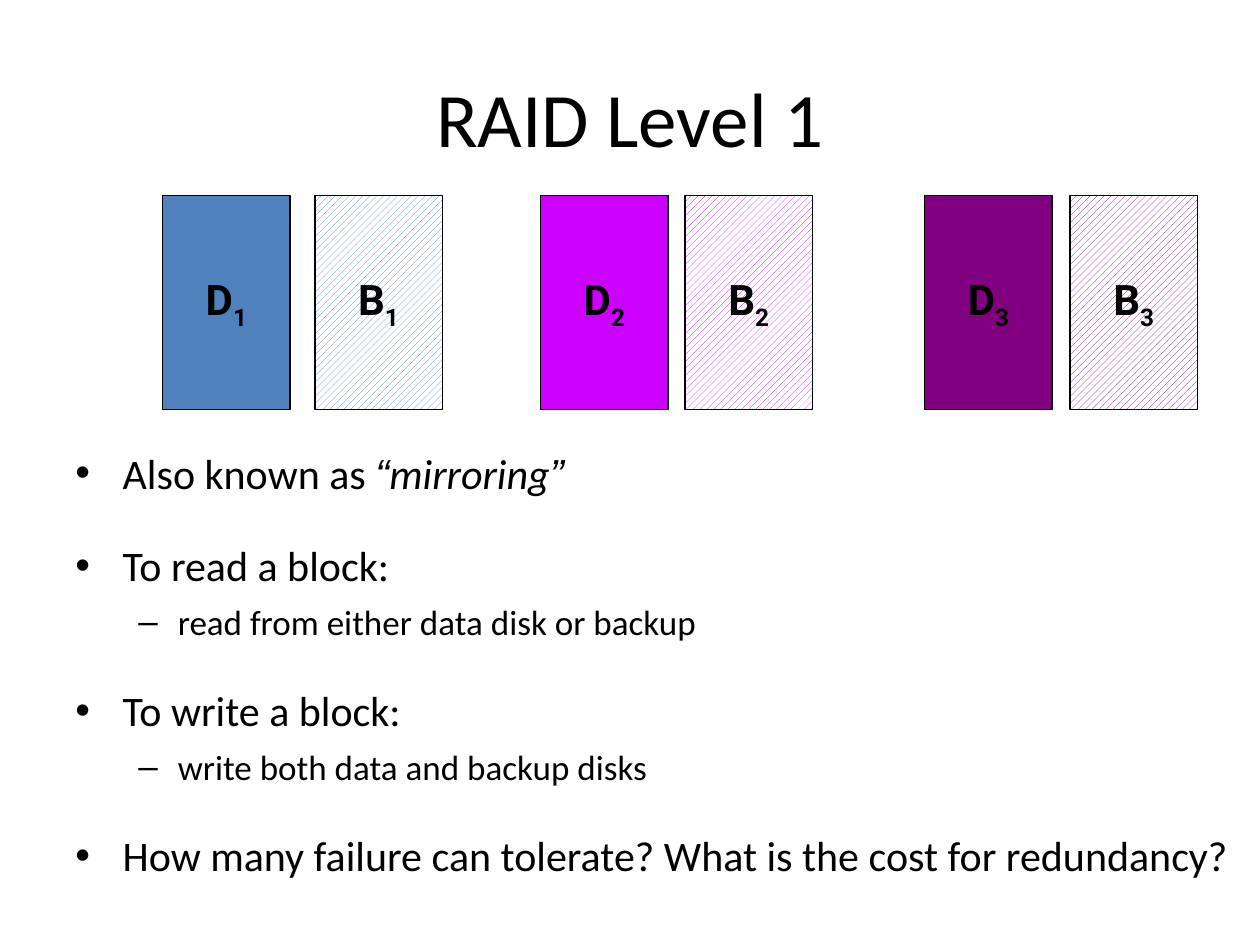
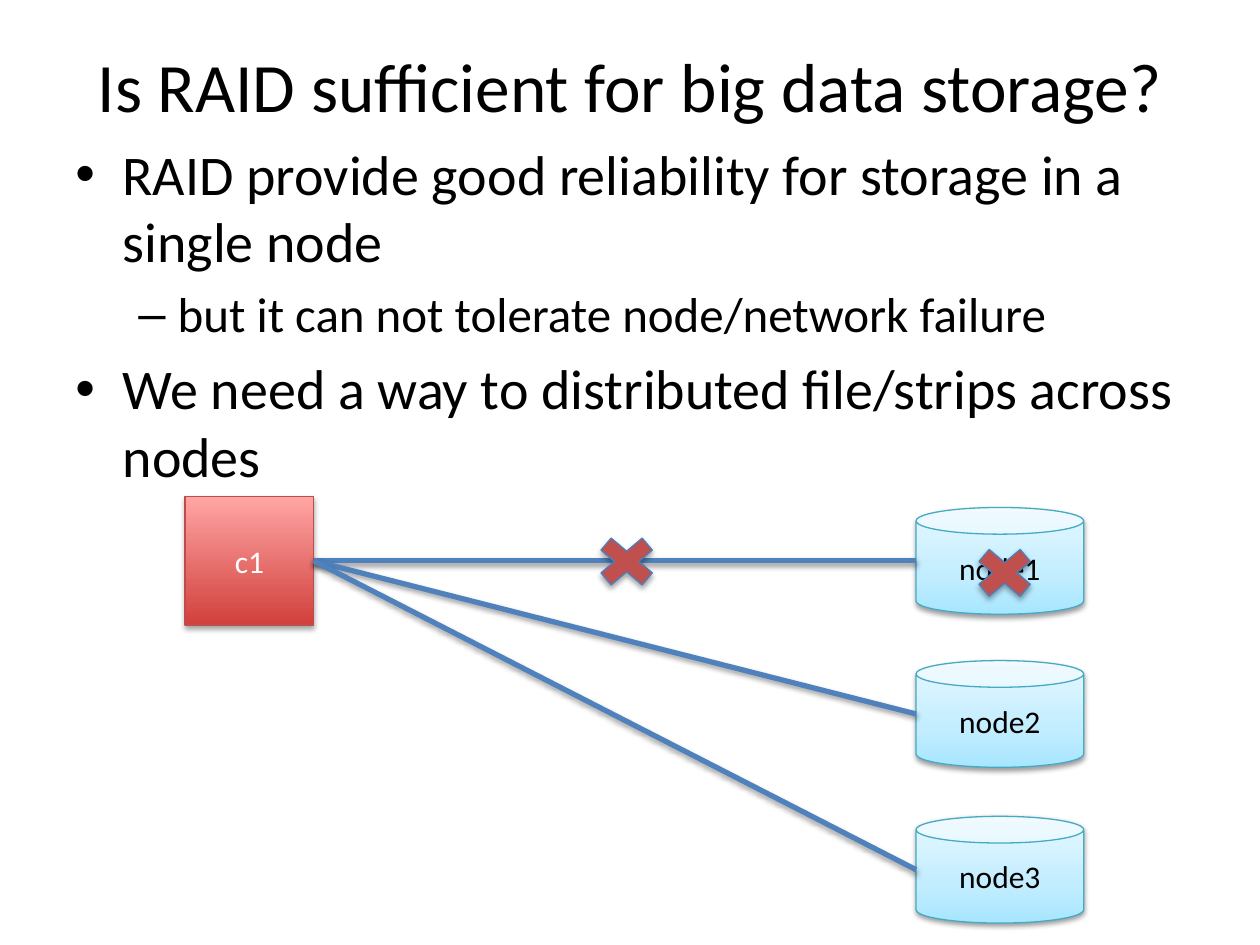
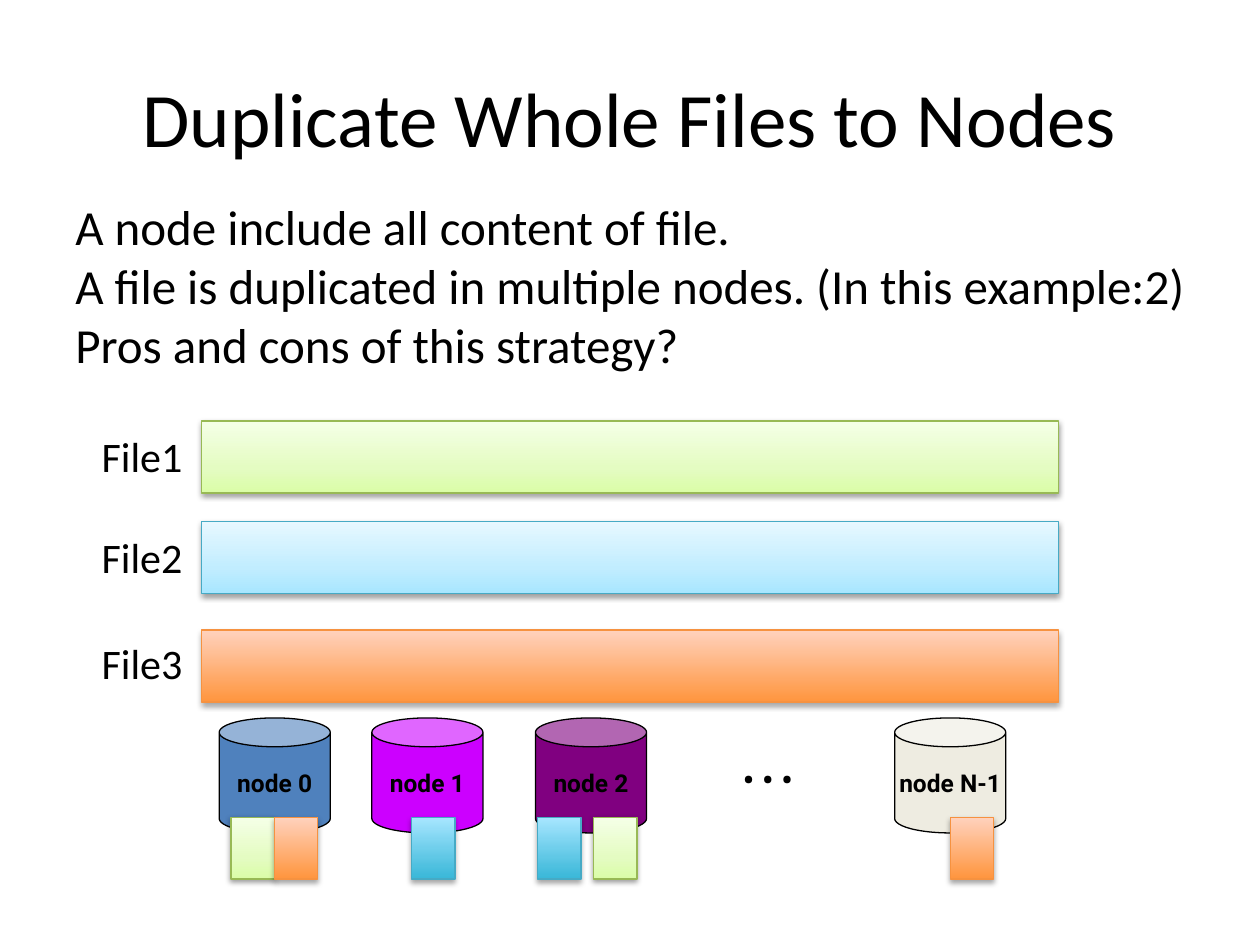
"""Build three slides on RAID mirroring and on replicating files across nodes."""
from dataclasses import dataclass

from lxml.etree import SubElement
from pptx import Presentation
from pptx.dml.color import RGBColor
from pptx.enum.dml import MSO_PATTERN
from pptx.enum.shapes import MSO_CONNECTOR, MSO_SHAPE
from pptx.enum.text import MSO_ANCHOR, PP_ALIGN
from pptx.oxml.ns import qn
from pptx.util import Pt


@dataclass(frozen=True)
class Theme:
    body_font: str = "Calibri"
    label_font: str = "Roboto"
    quote_font: str = "Arial"
    black: str = "000000"
    white: str = "FFFFFF"
    blue: str = "4F81BD"
    magenta: str = "CC00FF"
    purple: str = "800080"
    cream: str = "EEECE1"
    red: str = "C0504D"
    title: float = 44
    title_long: float = 39.6
    lead: float = 32
    text: float = 28
    item: float = 24
    sub: float = 20
    node: float = 18
    can: float = 14
    outline: float = 0.75
    link: float = 3


T = Theme()
SOFT = (38, 1.6)
STRONG = (35, 1.8)

LOOKS = {
    "green": (((0, "DAFDA7"), (35, "E4FCC2"), (100, "F5FFE7")), "98B955", SOFT),
    "sky": (((0, "A7E6FF"), (35, "C1EDFF"), (100, "E7F8FF")), "46AAC5", SOFT),
    "orange": (((0, "FF953E"), (100, "FFD2BD")), "F69240", STRONG),
    "teal": (((0, "39B7D8"), (100, "A7E6FF")), "46AAC5", STRONG),
    "red": (((0, "D1403C"), (100, "FFA6A5")), "BF4C48", STRONG),
    "cross": (T.red, "4B7EBC", STRONG),
}

BULLETS = (("•", 27, 27), ("–", 58.5, 22.5))
QUOTE = dict(name=T.quote_font, italic=True)

RAID_ITEMS = [
    (0, T.item, 0, [("Also known as ", {}), ("“", QUOTE),
                    ("mirroring", dict(italic=True)), ("”", QUOTE)]),
    (0, T.item, 24, "To read a block:"),
    (1, T.sub, 6, "read from either data disk or backup"),
    (0, T.item, 24, "To write a block:"),
    (1, T.sub, 6, "write both data and backup disks"),
    (0, T.item, 24, "How many failure can tolerate? What is the cost for redundancy?"),
]
DISK_PAIRS = [(T.blue, 93, 180), (T.magenta, 309, 391.5), (T.purple, 528.5, 611.5)]
DISK_TOP, DISK_W, DISK_H = 111.75, 72.75, 122.25

STORAGE_ITEMS = [
    (0, T.lead, 0, "RAID provide good reliability for storage in a single node"),
    (1, T.text, 5.6, "but it can not tolerate node/network failure"),
    (0, T.lead, 6.4, "We need a way to distributed file/strips across nodes"),
]
CLIENT = (105.75, 283.75, 73.5, 73.5)
NODES = [("node1", 290), ("node2", 377.5), ("node3", 466.5)]
NODE_X, NODE_W, NODE_H = 523.5, 95.75, 61
CROSSES = [(335.5, 301.75), (551.5, 308.25)]

STRATEGY = [
    "A node include all content of file.",
    "A file is duplicated in multiple nodes. (In this example:2)",
    "Pros and cons of this strategy?",
]
FILES = [("File1", "green", 240.5, 242.75), ("File2", "sky", 298, 300.25),
         ("File3", "orange", 360, 360.75)]
CANS = [("node 0", T.blue, 125.25), ("node 1", T.magenta, 212.5),
        ("node 2", T.purple, 306), ("node N-1", T.cream, 511.25)]
REPLICAS = [("green", 132), ("green", 339.25), ("teal", 235.25),
            ("teal", 307.25), ("orange", 156.75), ("orange", 543)]


def assign(obj, **fmt):
    for name, value in fmt.items():
        setattr(obj, name, value)


def color(value):
    return RGBColor.from_string(value)


def add_run(p, text, ink=T.black, sub=False, **font):
    r = p.add_run()
    r.text = text
    assign(r.font, **font)
    r.font.color.rgb = color(ink)
    if sub:
        r._r.get_or_add_rPr().set("baseline", "-25000")


def next_paragraph(tf, i):
    return tf.add_paragraph() if i else tf.paragraphs[0]


def add_box(s, box, wrap=True, **frame):
    tf = s.shapes.add_textbox(*map(Pt, box)).text_frame
    assign(tf, word_wrap=wrap, **frame)
    return tf


def add_lines(s, box, lines, size, align=None, name=T.body_font, bold=None, **frame):
    tf = add_box(s, box, **frame)
    for i, line in enumerate(lines):
        p = next_paragraph(tf, i)
        p.alignment = align
        add_run(p, line, name=name, size=Pt(size), bold=bold)


def add_title(s, text, top=21.6, size=T.title):
    add_lines(s, (36, top, 648, 90), [text], size, PP_ALIGN.CENTER,
              vertical_anchor=MSO_ANCHOR.MIDDLE)


def add_bullets(s, box, items):
    tf = add_box(s, box)
    for i, (level, size, before, runs) in enumerate(items):
        p = next_paragraph(tf, i)
        char, left, hang = BULLETS[level]
        pPr = p._p.get_or_add_pPr()
        pPr.set("marL", str(Pt(left)))
        pPr.set("indent", str(-Pt(hang)))
        SubElement(pPr, qn("a:buFont"), typeface="Arial")
        SubElement(pPr, qn("a:buChar"), char=char)
        assign(p, level=level, space_before=Pt(before))
        for text, font in [(runs, {})] if isinstance(runs, str) else runs:
            add_run(p, text, **{"name": T.body_font, "size": Pt(size), **font})


def set_shadow(sp, shadow=None):
    effects = SubElement(sp._element.spPr, qn("a:effectLst"))
    if shadow:
        alpha, dist = shadow
        outer = SubElement(effects, qn("a:outerShdw"), blurRad=str(Pt(3.1)),
                           dist=str(Pt(dist)), dir="5400000", rotWithShape="0")
        rgb = SubElement(outer, qn("a:srgbClr"), val=T.black)
        SubElement(rgb, qn("a:alpha"), val=str(alpha * 1000))


def set_gradient(sp, stops):
    sp.fill.gradient()
    sp.fill.gradient_angle = 90
    gs_list = sp._element.spPr.find(qn("a:gradFill")).find(qn("a:gsLst"))
    for old in list(gs_list):
        gs_list.remove(old)
    for pos, value in stops:
        gs = SubElement(gs_list, qn("a:gs"), pos=str(pos * 1000))
        SubElement(gs, qn("a:srgbClr"), val=value)


def add_figure(s, kind, box, fill, line=T.black, shadow=None, hatched=False):
    sp = s.shapes.add_shape(kind, *map(Pt, box))
    if hatched:
        sp.fill.patterned()
        sp.fill.pattern = MSO_PATTERN.WIDE_UPWARD_DIAGONAL
        sp.fill.fore_color.rgb = color(fill)
        sp.fill.back_color.rgb = color(T.white)
    elif isinstance(fill, str):
        sp.fill.solid()
        sp.fill.fore_color.rgb = color(fill)
    else:
        set_gradient(sp, fill)
    sp.line.color.rgb = color(line)
    sp.line.width = Pt(T.outline)
    set_shadow(sp, shadow)
    return sp


def add_label(sp, *runs, wrap=True, **font):
    tf = sp.text_frame
    assign(tf, word_wrap=wrap, vertical_anchor=MSO_ANCHOR.MIDDLE)
    p = tf.paragraphs[0]
    p.alignment = PP_ALIGN.CENTER
    for i, text in enumerate(runs):
        add_run(p, text, sub=i > 0, **font)


def add_link(s, x1, y1, x2, y2):
    c = s.shapes.add_connector(MSO_CONNECTOR.STRAIGHT, *map(Pt, (x1, y1, x2, y2)))
    c.line.color.rgb = color(T.blue)
    c.line.width = Pt(T.link)
    set_shadow(c, SOFT)


def raid_slide(s):
    add_title(s, "RAID Level 1")
    add_bullets(s, (36, 252, 682.5, 279.25), RAID_ITEMS)
    for n, (fill, *lefts) in enumerate(DISK_PAIRS, 1):
        for letter, x in zip("DB", lefts):
            sp = add_figure(s, MSO_SHAPE.RECTANGLE, (x, DISK_TOP, DISK_W, DISK_H),
                            fill, hatched=letter == "B")
            add_label(sp, letter, str(n), wrap=False, name=T.label_font,
                      size=Pt(T.item), bold=True)


def storage_slide(s):
    add_title(s, "Is RAID sufficient for big data storage?", 3.6, T.title_long)
    add_bullets(s, (36, 76.25, 648, 356.5), STORAGE_ITEMS)
    node_font = dict(name=T.body_font, size=Pt(T.node))
    for name, y in NODES:
        sp = add_figure(s, MSO_SHAPE.CAN, (NODE_X, y, NODE_W, NODE_H), *LOOKS["sky"])
        add_label(sp, name, **node_font)
    client = add_figure(s, MSO_SHAPE.RECTANGLE, CLIENT, *LOOKS["red"])
    add_label(client, "c1", ink=T.white, **node_font)
    x, y, w, h = CLIENT
    for _, top in NODES:
        add_link(s, x + w, y + h / 2, NODE_X, top + NODE_H / 2)
    for left, top in CROSSES:
        add_figure(s, MSO_SHAPE.MATH_MULTIPLY, (left, top, 45.25, 38.25), *LOOKS["cross"])


def duplicate_slide(s):
    add_title(s, "Duplicate Whole Files to Nodes")
    for name, fill, x in CANS:
        sp = add_figure(s, MSO_SHAPE.CAN, (x, 410.25, 63.5, 65.75), fill)
        sp.adjustments[0] = 0.26
        add_label(sp, name, wrap=False, name=T.label_font, size=Pt(T.can), bold=True)
    add_lines(s, (417.5, 430.5, 44, 29), ["• • •"], T.node, name=T.label_font,
              bold=True, wrap=False)
    for name, look, top, label_top in FILES:
        add_figure(s, MSO_SHAPE.RECTANGLE, (115.25, top, 489.5, 41.25), *LOOKS[look])
        add_lines(s, (51, label_top, 64, 36), [name], T.item)
    for look, x in REPLICAS:
        add_figure(s, MSO_SHAPE.RECTANGLE, (x, 467, 24.75, 35.25), *LOOKS[look])
    add_lines(s, (36, 108.75, 669.5, 108.75), STRATEGY, T.text)


def main():
    prs = Presentation()
    assign(prs, slide_width=Pt(720), slide_height=Pt(540))
    for build in (raid_slide, storage_slide, duplicate_slide):
        build(prs.slides.add_slide(prs.slide_layouts[6]))
    prs.save("out.pptx")


if __name__ == "__main__":
    main()
